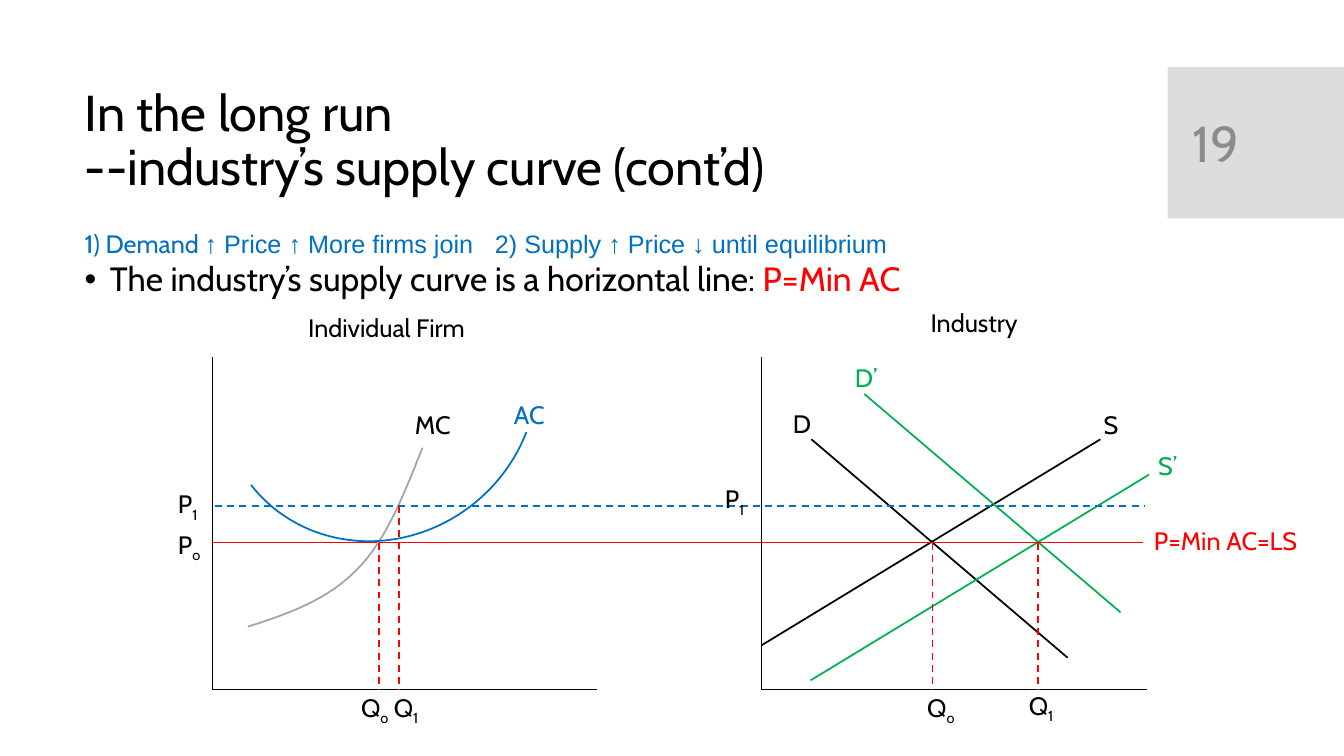
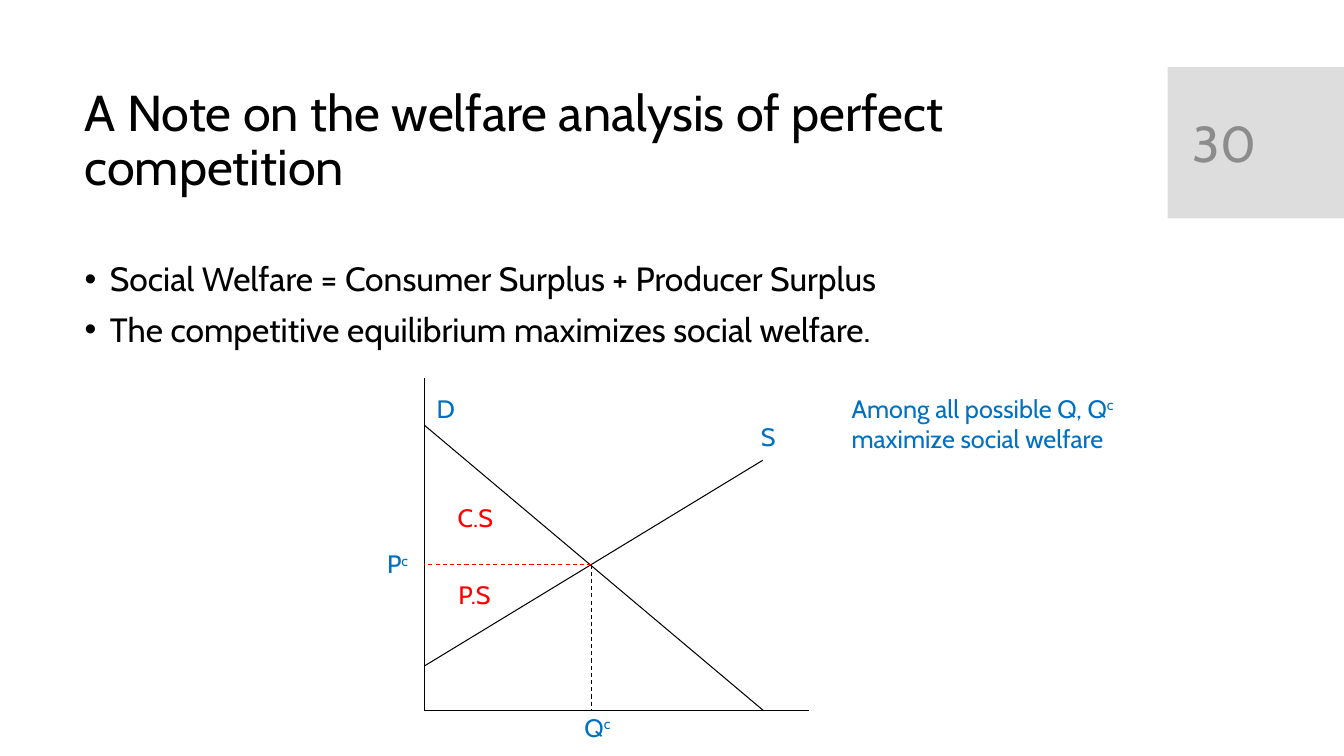
from dataclasses import dataclass
from typing import NamedTuple, Optional

import pptx
import pptx.dml.color
import pptx.enum.dml
import pptx.enum.shapes
import pptx.enum.text
import pptx.oxml.ns
import pptx.util
from lxml import etree

RGBColor = pptx.dml.color.RGBColor
BLACK = RGBColor(0x00, 0x00, 0x00)
RED = RGBColor(0xFF, 0x00, 0x00)
BLUE = RGBColor(0x00, 0x70, 0xC0)
GREEN = RGBColor(0x00, 0xB0, 0x50)
CURVE_GREY = RGBColor(0xA3, 0xA3, 0xA3)
BAND_GREY = RGBColor(0xDD, 0xDD, 0xDD)
NUMBER_GREY = RGBColor(0x8C, 0x8C, 0x8C)

FONT = "Cabin"
TITLE_SIZE, BODY_SIZE, LABEL_SIZE = 36, 24, 18
THIN, MEDIUM = 0.75, 1.25

# The slide is a grid of 16 columns by 9 rows of square cells.
COLUMNS, ROWS = 16, 9
SLIDE_HEIGHT = pptx.util.Inches(7.5)
CELL = SLIDE_HEIGHT / ROWS
SLIDE_WIDTH = round(COLUMNS * CELL)
AXIS_WIDTH, AXIS_HEIGHT = 4.58, 3.96


class Point(NamedTuple):
    x: float
    y: float


class Box(NamedTuple):
    left: float
    top: float
    width: float
    height: float


TITLE_BOX = Box(0.89, 0.98, 12.61, 1.42)
BAND_BOX = Box(13.9, 0.8, 2.1, 1.8)
NUMBER_BOX = Box(14.08, 0.98, 1.51, 1.43)
BODY_BOX = Box(0.89, 3.07, 12.61, 5.26)
INTRO_BOX = Box(0.89, 2.66, 9.98, 0.48)


@dataclass(frozen=True)
class Piece:
    text: str
    color: Optional[RGBColor] = None
    font: Optional[str] = None
    baseline: int = 0


@dataclass(frozen=True)
class Label:
    """Text at a grid position; _ starts a subscript and ^ a superscript."""
    text: str
    x: float
    y: float
    color: RGBColor = BLACK
    width: float = 0.8


@dataclass(frozen=True)
class Line:
    start: Point
    end: Point
    color: RGBColor = BLACK
    weight: float = MEDIUM
    dashed: bool = False

    def shifted(self, right: float, up: float, color: RGBColor) -> "Line":
        return Line(Point(self.start.x + right, self.start.y + up),
                    Point(self.end.x + right, self.end.y + up), color, self.weight)


# Curves measured from the origin of their axes, upwards.
SUPPLY = Line(Point(0, 0.53), Point(4.03, 2.98))
DEMAND = Line(Point(0.59, 2.98), Point(3.64, 0.38))
FIRM_ORIGIN, INDUSTRY_ORIGIN = Point(2.53, 8.21), Point(9.07, 8.21)
WELFARE_ORIGIN = Point(5.05, 8.46)


def cells(*lengths: float) -> list[int]:
    return [round(length * CELL) for length in lengths]


def add_line(slide, line: Line) -> None:
    connector = slide.shapes.add_connector(
        pptx.enum.shapes.MSO_CONNECTOR.STRAIGHT, *cells(*line.start, *line.end))
    connector.line.color.rgb = line.color
    connector.line.width = pptx.util.Pt(line.weight)
    if line.dashed:
        connector.line.dash_style = pptx.enum.dml.MSO_LINE.DASH
    etree.SubElement(connector._element.spPr, pptx.oxml.ns.qn("a:effectLst"))


def add_axes(slide, origin: Point) -> None:
    for end in (Point(origin.x, origin.y - AXIS_HEIGHT),
                Point(origin.x + AXIS_WIDTH, origin.y)):
        add_line(slide, Line(origin, end, weight=THIN))


def add_plotted(slide, origin: Point, line: Line) -> None:
    """Draws a line whose ends are measured from the origin of the axes."""
    start, end = (Point(origin.x + point.x, origin.y - point.y)
                  for point in (line.start, line.end))
    add_line(slide, Line(start, end, line.color, line.weight))


def style_outline(shape, color: RGBColor) -> None:
    shape.fill.background()
    shape.line.color.rgb = color
    shape.line.width = pptx.util.Pt(MEDIUM)
    shape.shadow.inherit = False


def bezier(start: Point, first: Point, second: Point, end: Point,
           steps: int = 16) -> list[tuple[float, float]]:
    """Points along a cubic curve, without its start."""
    points = []
    for step in range(1, steps + 1):
        t = step / steps
        weights = ((1 - t) ** 3, 3 * t * (1 - t) ** 2, 3 * t * t * (1 - t), t ** 3)
        points.append(tuple(
            sum(weight * value for weight, value in zip(weights, values))
            for values in zip(start, first, second, end)))
    return points


def add_marginal_cost(slide) -> None:
    start, middle, end = Point(2.95, 7.46), Point(4.25, 6.78), Point(5.03, 5.33)
    points = (bezier(start, Point(3.43, 7.31), Point(3.9, 7.14), middle)
              + bezier(middle, Point(4.6, 6.43), Point(4.81, 5.88), end))
    builder = slide.shapes.build_freeform(*cells(*start))
    builder.add_line_segments([cells(*point) for point in points], close=False)
    style_outline(builder.convert_to_shape(), CURVE_GREY)


def add_average_cost(slide) -> None:
    arc = slide.shapes.add_shape(pptx.enum.shapes.MSO_SHAPE.ARC,
                                 *cells(2.57, 2.75, 3.88, 3.64))
    arc.rotation = 138.5
    arc.adjustments[0], arc.adjustments[1] = 143.78, 1.92
    style_outline(arc, BLUE)


def add_text_frame(slide, box: Box, middle: bool = False):
    frame = slide.shapes.add_textbox(*cells(*box)).text_frame
    frame.word_wrap = True
    if middle:
        frame.vertical_anchor = pptx.enum.text.MSO_ANCHOR.MIDDLE
    return frame


def set_font(paragraph, size: float, color: RGBColor) -> None:
    paragraph.font.name = FONT
    paragraph.font.size = pptx.util.Pt(size)
    paragraph.font.color.rgb = color


def add_pieces(paragraph, pieces: list[Piece]) -> None:
    for piece in pieces:
        run = paragraph.add_run()
        run.text = piece.text
        if piece.color is not None:
            run.font.color.rgb = piece.color
        if piece.font:
            run.font.name = piece.font
        if piece.baseline:
            run._r.get_or_add_rPr().set("baseline", str(piece.baseline * 1000))


def add_label(slide, label: Label) -> None:
    lines = label.text.split("\n")
    frame = add_text_frame(
        slide, Box(label.x, label.y, label.width, 0.12 + 0.36 * len(lines)))
    for index, text in enumerate(lines):
        paragraph = frame.add_paragraph() if index else frame.paragraphs[0]
        set_font(paragraph, LABEL_SIZE, label.color)
        mark, baseline = ("_", -25) if "_" in text else ("^", 30)
        base, _, script = text.partition(mark)
        add_pieces(paragraph, [Piece(base)])
        if script:
            add_pieces(paragraph, [Piece(script, baseline=baseline)])


def add_bullets(slide, bullets: list[list[Piece]]) -> None:
    frame = add_text_frame(slide, BODY_BOX)
    for index, pieces in enumerate(bullets):
        paragraph = frame.add_paragraph() if index else frame.paragraphs[0]
        properties = paragraph._p.get_or_add_pPr()
        indent = pptx.util.Inches(0.25)
        properties.set("marL", str(indent))
        properties.set("indent", str(-indent))
        paragraph.line_spacing = 0.9
        if index:
            paragraph.space_before = pptx.util.Pt(10)
        etree.SubElement(properties, pptx.oxml.ns.qn("a:buFont"), typeface="Arial")
        etree.SubElement(properties, pptx.oxml.ns.qn("a:buChar"), char="•")
        set_font(paragraph, BODY_SIZE, BLACK)
        add_pieces(paragraph, pieces)


def add_intro(slide) -> None:
    paragraph = add_text_frame(slide, INTRO_BOX).paragraphs[0]
    tabs = etree.SubElement(paragraph._p.get_or_add_pPr(), pptx.oxml.ns.qn("a:tabLst"))
    etree.SubElement(tabs, pptx.oxml.ns.qn("a:tab"),
                     pos=str(pptx.util.Inches(4.07)), algn="l")
    set_font(paragraph, LABEL_SIZE, BLUE)
    add_pieces(paragraph, [
        Piece("1) Demand "),
        Piece("↑ Price ↑ More firms join\t2) Supply ↑ Price ↓ until equilibrium",
              font="Arial")])


def add_slide(presentation, title: str, number: int):
    """A blank slide with the shared title and the numbered band."""
    slide = presentation.slides.add_slide(presentation.slide_layouts[6])
    band = slide.shapes.add_shape(pptx.enum.shapes.MSO_SHAPE.RECTANGLE, *cells(*BAND_BOX))
    band.fill.solid()
    band.fill.fore_color.rgb = BAND_GREY
    band.line.fill.background()
    band.shadow.inherit = False
    for box, text, color, spacing in ((TITLE_BOX, title, BLACK, 0.9),
                                      (NUMBER_BOX, str(number), NUMBER_GREY, 1.0)):
        paragraph = add_text_frame(slide, box, middle=True).paragraphs[0]
        paragraph.line_spacing = spacing
        set_font(paragraph, TITLE_SIZE, color)
        paragraph.text = text
    return slide


def build_supply_slide(presentation) -> None:
    slide = add_slide(presentation, "In the long run\v--industry’s supply curve (cont’d)", 19)
    add_bullets(slide, [[Piece("The industry’s supply curve is a horizontal line: "),
                         Piece("P=Min AC", RED)]])
    add_intro(slide)
    for origin in (FIRM_ORIGIN, INDUSTRY_ORIGIN):
        add_axes(slide, origin)
    for curve in (DEMAND, SUPPLY, DEMAND.shifted(0.63, 0.54, GREEN),
                  SUPPLY.shifted(0.58, -0.42, GREEN)):
        add_plotted(slide, INDUSTRY_ORIGIN, curve)
    low_price, high_price = 6.46, 6.02
    add_line(slide, Line(Point(2.54, low_price), Point(13.61, low_price), RED))
    add_marginal_cost(slide)
    add_average_cost(slide)
    add_line(slide, Line(Point(2.56, high_price), Point(13.62, high_price), BLUE, dashed=True))
    for x, price in ((4.51, low_price), (4.75, high_price),
                     (11.1, low_price), (12.36, low_price)):
        add_line(slide, Line(Point(x, price), Point(x, FIRM_ORIGIN.y), RED, dashed=True))
    for label in (
            Label("Individual Firm", 3.55, 3.66, width=2.38),
            Label("Industry", 10.96, 3.6, width=2.38),
            Label("MC", 4.82, 4.81), Label("AC", 6, 4.69, BLUE),
            Label("P_1", 2, 5.76), Label("P_o", 2, 6.24),
            Label("Q_o", 4.18, 8.18), Label("Q_1", 4.57, 8.18),
            Label("D", 9.32, 4.8), Label("S", 13.02, 4.81),
            Label("D’", 10.06, 4.26, GREEN), Label("S’", 13.67, 5.3, GREEN),
            Label("P_1", 8.51, 5.7), Label("P=Min AC=LS", 13.62, 6.2, RED, 2.38),
            Label("Q_o", 10.92, 8.18), Label("Q_1", 12.13, 8.16)):
        add_label(slide, label)


def build_welfare_slide(presentation) -> None:
    slide = add_slide(presentation, "A Note on the welfare analysis of perfect competition", 30)
    add_bullets(slide, [[Piece("Social Welfare = Consumer Surplus + Producer Surplus")],
                        [Piece("The competitive equilibrium maximizes social welfare.")]])
    add_axes(slide, WELFARE_ORIGIN)
    for curve in (Line(Point(0, 3.4), Point(4.04, 0), weight=THIN),
                  Line(SUPPLY.start, SUPPLY.end, weight=THIN)):
        add_plotted(slide, WELFARE_ORIGIN, curve)
    equilibrium = Point(7.04, 6.72)
    for end, color in ((Point(equilibrium.x, WELFARE_ORIGIN.y), BLACK),
                       (Point(WELFARE_ORIGIN.x, equilibrium.y), RED)):
        add_line(slide, Line(equilibrium, end, color, THIN, dashed=True))
    for label in (
            Label("D", 5.08, 4.62, BLUE), Label("S", 8.94, 4.96, BLUE),
            Label("C.S", 5.33, 5.92, RED), Label("P.S", 5.34, 6.84, RED),
            Label("P^c", 4.49, 6.47, BLUE), Label("Q^c", 6.84, 8.42, BLUE),
            Label("Among all possible Q, Q^c\nmaximize social welfare", 10.02, 4.62, BLUE, 3.7)):
        add_label(slide, label)


def main() -> None:
    presentation = pptx.Presentation()
    presentation.slide_width, presentation.slide_height = SLIDE_WIDTH, SLIDE_HEIGHT
    build_supply_slide(presentation)
    build_welfare_slide(presentation)
    presentation.save("out.pptx")


if __name__ == "__main__":
    main()
